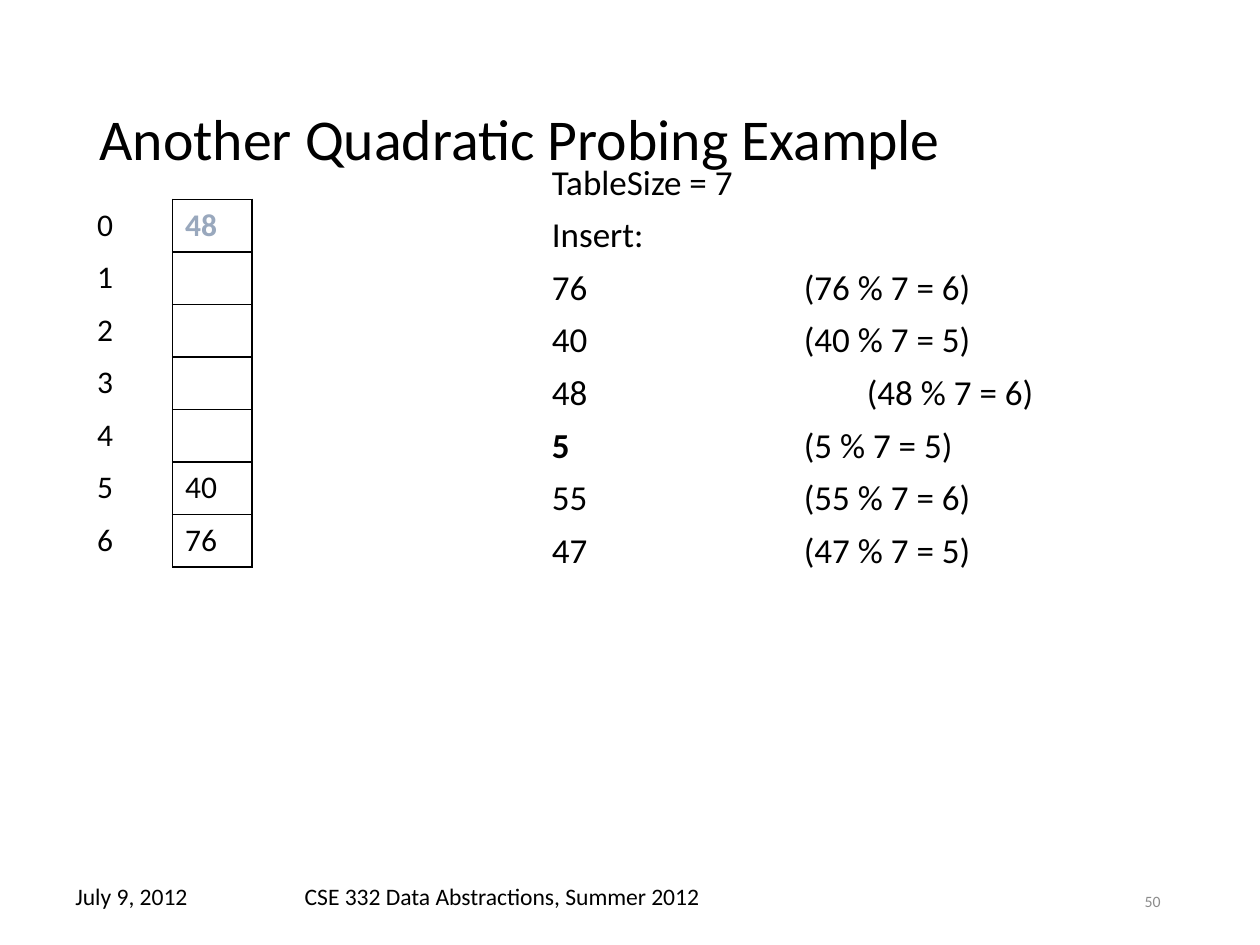
from lxml import etree
from pptx import Presentation
from pptx.dml.color import RGBColor
from pptx.enum.text import MSO_ANCHOR, MSO_AUTO_SIZE, PP_ALIGN
from pptx.oxml.ns import qn
from pptx.util import Emu, Inches, Pt

WIDTH, HEIGHT = Inches(10), Inches(7.5)
LEFT, RIGHT = PP_ALIGN.LEFT, PP_ALIGN.RIGHT
TOP, MIDDLE = MSO_ANCHOR.TOP, MSO_ANCHOR.MIDDLE
FIXED = MSO_AUTO_SIZE.NONE
FONT, BLACK, GRAY, NEW_KEY = "Calibri", "000000", "8C8C8C", "99A8BD"
TABLE_SIZE = 7
SLOTS = {0: "48", 5: "40", 6: "76"}
KEYS = [76, 40, 48, 5, 55, 47]
CURRENT_KEY, INDENTED_KEY = 5, 48
EDGES = ("lnL", "lnR", "lnT", "lnB")


def color(value):
    """Turn a hex string into a colour."""
    return RGBColor.from_string(value)


def place(shape, left, top, width, height):
    """Position a shape by shares of the slide's size."""
    shape.left, shape.width = Emu(int(WIDTH * left)), Emu(int(WIDTH * width))
    shape.top, shape.height = Emu(int(HEIGHT * top)), Emu(int(HEIGHT * height))


def add_span(para, text, size, hue=BLACK, bold=False):
    """Append one formatted run to a paragraph."""
    span = para.add_run()
    span.text = text
    span.font.name, span.font.size, span.font.bold = FONT, Pt(size), bold
    span.font.color.rgb = color(hue)


def add_title(page, text):
    """Fill the title placeholder."""
    title = page.shapes.title
    place(title, 0.069, 0.053, 0.862, 0.193)
    frame = title.text_frame
    frame.auto_size, frame.vertical_anchor = FIXED, MIDDLE
    para = frame.paragraphs[0]
    para.alignment, para.line_spacing = LEFT, 0.9
    add_span(para, text, 33)


def add_label(page, text, left, width, size=13.5, hue=BLACK, align=LEFT, anchor=TOP):
    """Add a footer text box."""
    box = page.shapes.add_textbox(0, 0, 0, 0)
    place(box, left, 0.927, width, 0.053)
    frame = box.text_frame
    frame.word_wrap, frame.vertical_anchor = True, anchor
    para = frame.paragraphs[0]
    para.alignment = align
    add_span(para, text, size, hue)


def draw_borders(cell, visible):
    """Draw the named cell edges in black and hide the others."""
    properties = cell._tc.get_or_add_tcPr()
    for edge in EDGES:
        line = etree.SubElement(properties, qn(f"a:{edge}"), w=str(Pt(1)))
        if edge in visible:
            fill = etree.SubElement(line, qn("a:solidFill"))
            etree.SubElement(fill, qn("a:srgbClr"), val=BLACK)
        else:
            etree.SubElement(line, qn("a:noFill"))


def add_hash_table(page):
    """Add the table of slot numbers and stored keys."""
    frame = page.shapes.add_table(TABLE_SIZE, 2, 0, 0, 0, 0)
    place(frame, 0.067, 0.211, 0.133, 0.389)
    row_height = Emu(frame.height // TABLE_SIZE)
    table = frame.table
    table.first_row = table.horz_banding = False
    for column, width in zip(table.columns, (0.7, 0.63)):
        column.width = Inches(width)
    for index, row in enumerate(table.rows):
        row.height = row_height
        texts = (str(index), SLOTS.get(index, ""))
        for cell, text, edges in zip(row.cells, texts, (("lnR",), EDGES)):
            draw_borders(cell, edges)
            cell.fill.background()
            cell.vertical_anchor = MIDDLE
            if text:
                fresh = text == "48"
                add_span(cell.text_frame.paragraphs[0], text, 18, NEW_KEY if fresh else BLACK, fresh)


def format_line(para, first, tab):
    """Remove the bullet, set the tab width and space a list line."""
    properties = para._p.get_or_add_pPr()
    properties.set("marL", "0")
    properties.set("indent", "0")
    properties.set("defTabSz", str(Inches(tab)))
    etree.SubElement(properties, qn("a:buNone"))
    para.space_before = Pt(0 if first else 6)


def add_insert_list(page):
    """Fill the body placeholder with the keys and their hashes."""
    body = page.placeholders[1]
    place(body, 0.428, 0.163, 0.482, 0.619)
    frame = body.text_frame
    frame.auto_size, frame.vertical_anchor = FIXED, TOP
    lines = [(f"TableSize = {TABLE_SIZE}", "", 2), ("Insert:", "", 2)]
    for key in KEYS:
        work = f"\t({key} % {TABLE_SIZE} = {key % TABLE_SIZE})"
        lines.append((str(key), work, 2.5 if key == INDENTED_KEY else 2))
    for index, (head, work, tab) in enumerate(lines):
        para = frame.add_paragraph() if index else frame.paragraphs[0]
        format_line(para, index == 0, tab)
        add_span(para, head, 20, bold=head == str(CURRENT_KEY))
        if work:
            add_span(para, work, 20)


def main():
    """Build and save the slide."""
    deck = Presentation()
    deck.slide_width, deck.slide_height = WIDTH, HEIGHT
    page = deck.slides.add_slide(deck.slide_layouts[1])
    add_title(page, "Another Quadratic Probing Example")
    add_label(page, "July 9, 2012", 0.05, 0.175)
    add_label(page, "CSE 332 Data Abstractions, Summer 2012", 0.232, 0.535)
    add_label(page, "50", 0.706, 0.225, 9, GRAY, RIGHT, MIDDLE)
    add_hash_table(page)
    add_insert_list(page)
    deck.save("out.pptx")


if __name__ == "__main__":
    main()
